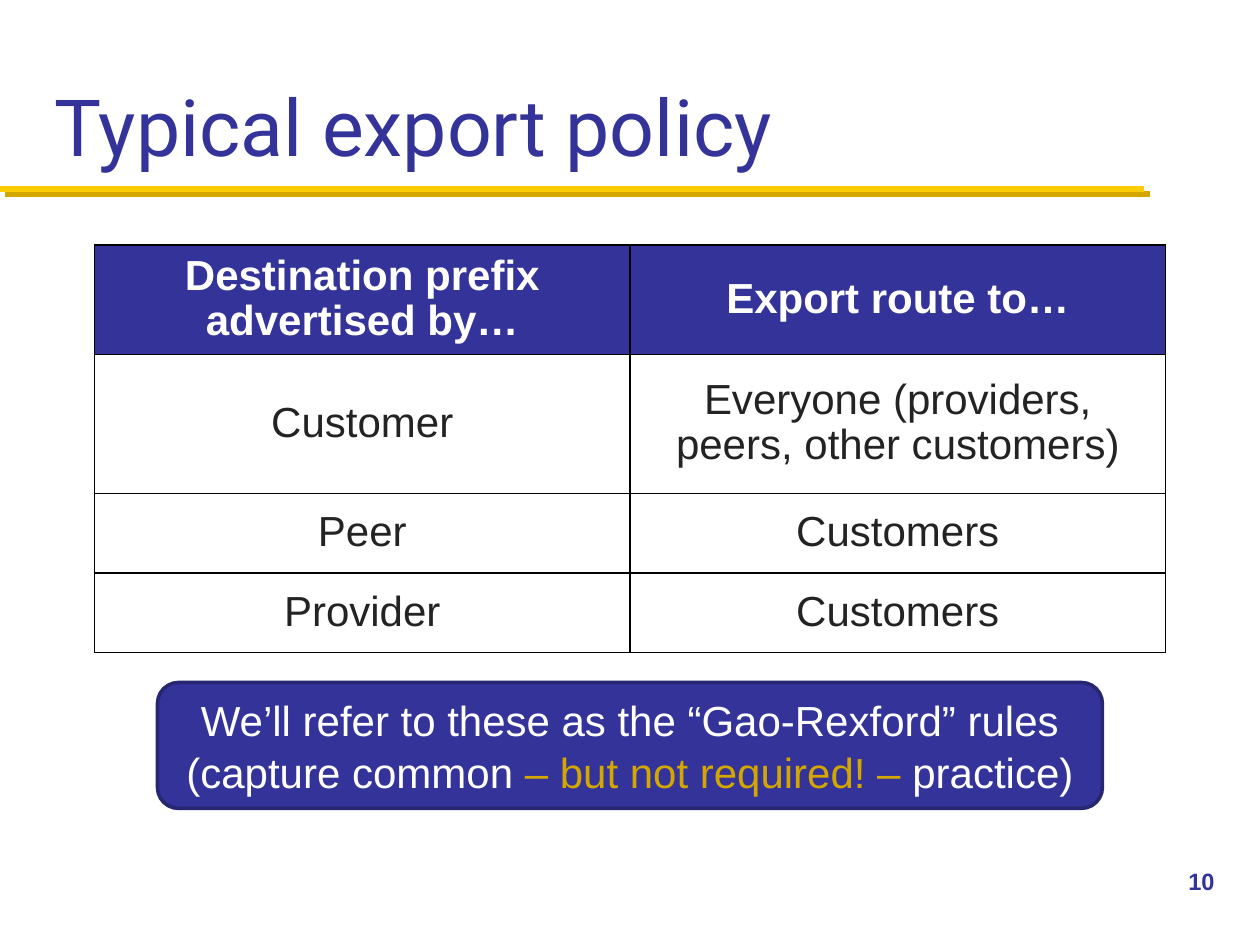
import pptx
import pptx.dml.color
import pptx.enum.shapes
import pptx.enum.text
import pptx.oxml
import pptx.oxml.ns
import pptx.util
from lxml import etree

NAVY = "333399"
WHITE = "FFFFFF"
INK = "232323"
GOLD = "D3A600"
YELLOW = "FFCB05"
ROWS = [
    ("Destination prefix advertised by…", "Export route to…"),
    ("Customer", "Everyone (providers, peers, other customers)"),
    ("Peer", "Customers"),
    ("Provider", "Customers"),
]
ROW_HEIGHTS = [60.5, 79.5, 45.5, 45.5]
CENTER = pptx.enum.text.PP_ALIGN.CENTER
MIDDLE = pptx.enum.text.MSO_ANCHOR.MIDDLE


def points(*values):
    return [pptx.util.Pt(value) for value in values]


def color(hex_string):
    return pptx.dml.color.RGBColor.from_string(hex_string)


def fill_solid(target, hex_string):
    target.fill.solid()
    target.fill.fore_color.rgb = color(hex_string)


def add_run(paragraph, text, hex_string, size=24, bold=False, font="Arial"):
    run = paragraph.add_run()
    run.text = text
    run.font.name = font
    run.font.size = pptx.util.Pt(size)
    run.font.bold = bold
    run.font.color.rgb = color(hex_string)


def add_title(slide, text):
    title = slide.shapes.title
    title.left, title.top, title.width, title.height = points(24, 12, 672, 90)
    frame = title.text_frame
    frame.word_wrap = True
    frame.auto_size = pptx.enum.text.MSO_AUTO_SIZE.NONE
    frame.vertical_anchor = pptx.enum.text.MSO_ANCHOR.BOTTOM
    paragraph = frame.paragraphs[0]
    paragraph.alignment = pptx.enum.text.PP_ALIGN.LEFT
    add_run(paragraph, text, NAVY, size=45, font="Roboto")


def add_title_rule(slide):
    rule = slide.shapes.add_connector(
        pptx.enum.shapes.MSO_CONNECTOR.STRAIGHT, *points(0, 108, 654, 108))
    rule.line.color.rgb = color(YELLOW)
    rule.line.width = pptx.util.Pt(3.5)
    qualified = pptx.oxml.ns.qn
    effects = etree.SubElement(rule._element.spPr, qualified("a:effectLst"))
    shadow = etree.SubElement(
        effects, qualified("a:outerShdw"), blurRad="0",
        dist=str(pptx.util.Pt(4.2)), dir="2700000", algn="ctr", rotWithShape="0")
    etree.SubElement(shadow, qualified("a:srgbClr"), val=GOLD)


def set_borders(cell):
    properties = cell._tc.get_or_add_tcPr()
    namespace = pptx.oxml.ns.nsdecls("a")
    for index, side in enumerate(("lnL", "lnR", "lnT", "lnB")):
        properties.insert(index, pptx.oxml.parse_xml(
            f'<a:{side} {namespace} w="{pptx.util.Pt(1)}"><a:solidFill>'
            f'<a:srgbClr val="000000"/></a:solidFill></a:{side}>'))


def add_policy_table(slide):
    frame = slide.shapes.add_table(
        len(ROWS), 2, *points(54, 140, 612, sum(ROW_HEIGHTS)))
    table = frame.table
    for row_index, texts in enumerate(ROWS):
        header = row_index == 0
        table.rows[row_index].height = pptx.util.Pt(ROW_HEIGHTS[row_index])
        for column_index, text in enumerate(texts):
            cell = table.cell(row_index, column_index)
            cell.vertical_anchor = MIDDLE
            fill_solid(cell, NAVY if header else WHITE)
            set_borders(cell)
            paragraph = cell.text_frame.paragraphs[0]
            paragraph.alignment = CENTER
            paragraph.line_spacing = 0.96
            add_run(paragraph, text, WHITE if header else INK, bold=header)


def add_callout(slide, lines):
    callout = slide.shapes.add_shape(
        pptx.enum.shapes.MSO_SHAPE.ROUNDED_RECTANGLE, *points(90, 390, 540, 72))
    callout.shadow.inherit = False
    fill_solid(callout, NAVY)
    callout.line.color.rgb = color("262671")
    callout.line.width = pptx.util.Pt(2)
    frame = callout.text_frame
    frame.word_wrap = False
    frame.vertical_anchor = MIDDLE
    for index, runs in enumerate(lines):
        paragraph = frame.add_paragraph() if index else frame.paragraphs[0]
        paragraph.alignment = CENTER
        paragraph.space_before = pptx.util.Pt(1)
        for text, hex_string in runs:
            add_run(paragraph, text, hex_string)


def add_slide_number(slide, text):
    box = slide.shapes.add_textbox(*points(672, 492, 48, 36))
    box.text_frame.word_wrap = True
    add_run(box.text_frame.paragraphs[0], text, NAVY, size=13.5, bold=True)


def main():
    presentation = pptx.Presentation()
    presentation.slide_width, presentation.slide_height = points(720, 540)
    slide = presentation.slides.add_slide(presentation.slide_layouts[5])
    add_title_rule(slide)
    add_title(slide, "Typical export policy")
    add_slide_number(slide, "10")
    add_policy_table(slide)
    add_callout(slide, [
        [("We’ll refer to these as the “Gao-Rexford” rules", WHITE)],
        [("(capture common ", WHITE), ("– but not required! – ", GOLD),
         ("practice)", WHITE)],
    ])
    presentation.save("out.pptx")


if __name__ == "__main__":
    main()
